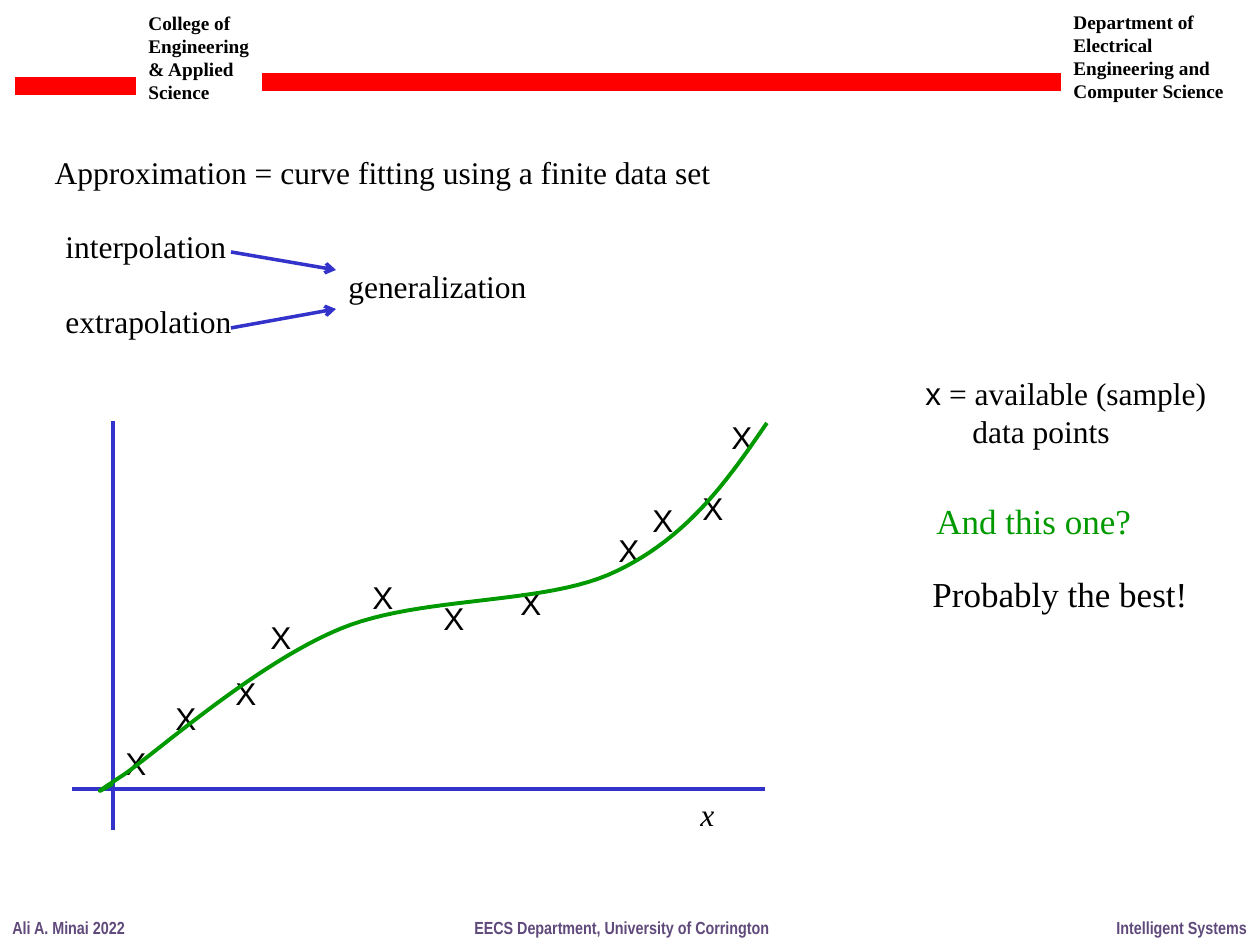
from lxml import etree
from pptx import Presentation, util as u
from pptx.dml.color import RGBColor
from pptx.enum import shapes, text
from pptx.oxml import ns

PX = 914400 // 126
SERIF, SANS, NARROW = "Times New Roman", "Arial", "Arial Narrow"
BLACK, RED, BLUE, GREEN, PURPLE = "000000", "FF0000", "3333CC", "009900", "604A7B"

HEADERS = [
    (136, 5, 137, 106, ["College of Engineering & Applied", "Science"]),
    (1061, 4, 185, 106, ["Department of Electrical Engineering and Computer Science"]),
]
HEADER_BARS = [(15, 86, 136, 86), (262, 82, 1061, 82)]
FOOTERS = [
    (0, 139, "Ali A. Minai 2022"),
    (462, 318, "EECS Department, University of Corrington"),
    (1104, 156, "Intelligent Systems"),
]
ARROWS = [(231, 252, 336, 270), (231, 328, 336, 309)]
AXES = [(113, 421, 113, 830), (72, 789, 765, 789)]
SAMPLES = [(113, 738), (163, 693), (223, 668), (258, 612), (360, 572), (431, 593),
           (508, 578), (606, 525), (640, 495), (690, 483), (719, 412)]
CURVE_START = (113, 784)
CURVE = [
    ((100, 791), (87, 799), (125, 774)),
    ((163, 747), (258, 663), (340, 629)),
    ((422, 595), (546, 606), (617, 571)),
    ((688, 537), (728, 480), (767, 423)),
]


def px(value):
    return u.Emu(value * PX)


def color(value):
    return RGBColor.from_string(value)


def fill_text(frame, lines, size, font=SERIF, ink=BLACK, bold=None, italic=None, wrap=False):
    frame.word_wrap = wrap
    frame.auto_size = text.MSO_AUTO_SIZE.NONE
    frame.vertical_anchor = text.MSO_ANCHOR.TOP
    frame.text = "\n".join(lines)
    for paragraph in frame.paragraphs:
        paragraph.alignment = text.PP_ALIGN.LEFT
        for run in paragraph.runs:
            run.font.size, run.font.name = u.Pt(size), font
            run.font.bold, run.font.italic = bold, italic
            run.font.color.rgb = color(ink)


def add_text(slide, left, top, width, height, lines, size=18, **style):
    box = slide.shapes.add_textbox(px(left), px(top), px(width), px(height))
    fill_text(box.text_frame, lines, size, **style)
    return box.text_frame


def add_line(slide, ends, ink, width, arrow=False):
    line = slide.shapes.add_connector(shapes.MSO_CONNECTOR.STRAIGHT, *map(px, ends))
    line.line.color.rgb = color(ink)
    line.line.width = u.Pt(width)
    if arrow:
        etree.SubElement(line.line._get_or_add_ln(), ns.qn("a:tailEnd"), type="arrow")
    etree.SubElement(line._element.spPr, ns.qn("a:effectLst"))


def bezier_points(start, segments, steps=24):
    """Sample joined cubic curves as points, in EMU."""
    points = [start]
    for first, second, end in segments:
        for step in range(1, steps + 1):
            t = step / steps
            weights = ((1 - t) ** 3, 3 * t * (1 - t) ** 2, 3 * t * t * (1 - t), t ** 3)
            corners = (start, first, second, end)
            points.append(tuple(sum(w * c[axis] for w, c in zip(weights, corners))
                                for axis in (0, 1)))
        start = end
    return [(round(x * PX), round(y * PX)) for x, y in points]


def add_curve(slide, start, segments):
    points = bezier_points(start, segments)
    builder = slide.shapes.build_freeform(*points[0])
    builder.add_line_segments(points[1:], close=False)
    curve = builder.convert_to_shape()
    curve.shadow.inherit = False
    curve.fill.background()
    curve.line.color.rgb = color(GREEN)
    curve.line.width = u.Pt(2.25)


def add_title(slide, left, top, width, height, title):
    shape = slide.shapes.title
    shape.left, shape.top, shape.width, shape.height = map(px, (left, top, width, height))
    fill_text(shape.text_frame, [title], 18)


def add_frame(slide):
    for *place, lines in HEADERS:
        add_text(slide, *place, lines, 11, bold=True, wrap=True)
    for bar in HEADER_BARS:
        add_line(slide, bar, RED, 10)
    for left, width, line in FOOTERS:
        add_text(slide, left, 911, width, 34, [line], 10, font=NARROW, ink=PURPLE, bold=True)


def add_concepts(slide):
    sources = add_text(slide, 53, 221, 193, 127, ["interpolation", "extrapolation"])
    sources.paragraphs[1].space_before = u.Pt(21)
    add_text(slide, 336, 261, 205, 50, ["generalization"])
    for arrow in ARROWS:
        add_line(slide, arrow, BLUE, 2, arrow=True)


def add_plot(slide):
    for axis in AXES:
        add_line(slide, axis, BLUE, 2)
    add_text(slide, 688, 789, 40, 50, ["x"], italic=True)
    for left, top in SAMPLES:
        add_text(slide, left, top, 48, 50, ["X"], font=SANS)
    add_curve(slide, CURVE_START, CURVE)


def add_remarks(slide):
    legend = add_text(slide, 913, 368, 307, 89, ["x", "data points"])
    marker, meaning = legend.paragraphs
    marker.runs[0].font.name = SANS
    run = marker.add_run()
    run.text = " = available (sample)"
    run.font.size, run.font.name = u.Pt(18), SERIF
    run.font.color.rgb = color(BLACK)
    meaning._p.get_or_add_pPr().set("marL", str(px(47)))
    add_text(slide, 924, 493, 307, 55, ["And this one?"], 20, ink=GREEN, wrap=True)
    add_text(slide, 920, 566, 282, 55, ["Probably the best!"], 20)


def main():
    presentation = Presentation()
    presentation.slide_width, presentation.slide_height = u.Inches(10), u.Inches(7.5)
    slide = presentation.slides.add_slide(presentation.slide_layouts[5])
    add_frame(slide)
    add_title(slide, 42, 147, 688, 50, "Approximation = curve fitting using a finite data set")
    add_concepts(slide)
    add_plot(slide)
    add_remarks(slide)
    presentation.save("out.pptx")


if __name__ == "__main__":
    main()
